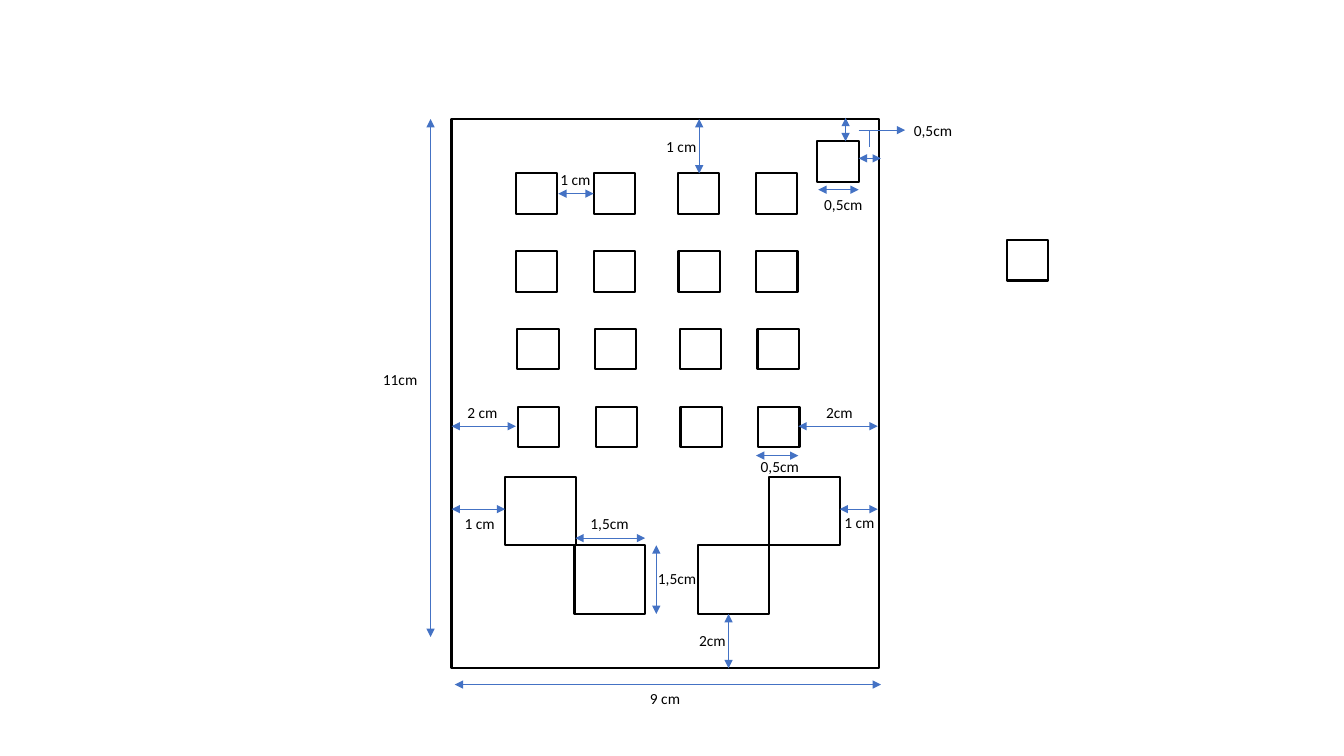
"""Build a dimensioned plan of a 9 by 11 cm panel with square cut-outs."""
import pptx
import pptx.dml.color
import pptx.enum.shapes
import pptx.enum.text
import pptx.oxml
import pptx.oxml.ns
import pptx.util

Cm, Pt = pptx.util.Cm, pptx.util.Pt
COLORS = {"paper": "FFFFFF", "outline": "000000", "dimension": "4472C4", "text": "000000"}
FONT = {"name": "Calibri", "size": Pt(11)}
FRAME = {"word_wrap": True, "auto_size": pptx.enum.text.MSO_AUTO_SIZE.SHAPE_TO_FIT_TEXT}


def rgb(name):
    return pptx.dml.color.RGBColor.from_string(COLORS[name])


def apply(target, values):
    for name, value in values.items():
        setattr(target, name, value)


class Drawing:
    def __init__(self, slide):
        self.shapes = slide.shapes

    def line_style(self, line, color, width):
        line.color.rgb = rgb(color)
        line.width = Pt(width)

    def box(self, x, y, w, h):
        sp = self.shapes.add_shape(
            pptx.enum.shapes.MSO_SHAPE.RECTANGLE, Cm(x), Cm(y), Cm(w), Cm(h))
        sp.shadow.inherit = False
        sp.fill.solid()
        sp.fill.fore_color.rgb = rgb("paper")
        self.line_style(sp.line, "outline", 1.5)

    def arrow(self, x1, y1, x2, y2, ends=("headEnd", "tailEnd")):
        cxn = self.shapes.add_connector(
            pptx.enum.shapes.MSO_CONNECTOR.STRAIGHT, Cm(x1), Cm(y1), Cm(x2), Cm(y2))
        self.line_style(cxn.line, "dimension", 0.5)
        ln = cxn.line._get_or_add_ln()
        for end in ends:
            tip = pptx.oxml.parse_xml(f'<a:{end} {pptx.oxml.ns.nsdecls("a")} type="triangle"/>')
            ln.append(tip)
        cxn._element.spPr.append(
            pptx.oxml.parse_xml(f'<a:effectLst {pptx.oxml.ns.nsdecls("a")}/>'))

    def label(self, text, x, y):
        tf = self.shapes.add_textbox(Cm(x), Cm(y), Cm(1.52), Cm(0.74)).text_frame
        apply(tf, FRAME)
        r = tf.paragraphs[0].add_run()
        r.text = text
        apply(r.font, FONT)
        r.font.color.rgb = rgb("text")


prs = pptx.Presentation()
prs.slide_width, prs.slide_height = Cm(33.87), Cm(19.05)
drawing = Drawing(prs.slides.add_slide(prs.slide_layouts[6]))

LEFT, TOP, WIDTH, HEIGHT = 11.38, 3, 10.77, 13.84
SMALL = (1.04, 1.02)
LARGE = (1.78, 1.73)
COLUMNS = (13, 14.96, 17.09, 19.05)
ROW_SHIFTS = (0, 0.01, 0.04, 0.06)
FIRST_ROW, ROW_STEP = 4.37, 1.96
UPPER, LOWER = 12.01, 13.74

drawing.box(LEFT, TOP, WIDTH, HEIGHT)
for row, shift in enumerate(ROW_SHIFTS):
    for column in COLUMNS:
        drawing.box(column + shift, FIRST_ROW + row * ROW_STEP, *SMALL)
for x, y in ((20.6, 3.56), (25.37, 6.05)):
    drawing.box(x, y, *SMALL)
for x, y in ((12.73, UPPER), (14.48, LOWER), (17.6, LOWER), (19.38, UPPER)):
    drawing.box(x, y, *LARGE)

horizontal = (
    (19.05, 20.12, 11.48), (20.62, 21.64, 4.78), (14.5, 16.26, 13.56),
    (11.46, 22.2, 17.25), (14.07, 14.96, 4.88), (LEFT, 13, 10.74),
    (20.12, 22.12, 10.74), (21.16, 22.12, 12.83), (LEFT, 12.73, 12.83),
    (21.64, 22.2, 3.99),
)
vertical = (
    (16.54, LOWER, 15.47), (10.85, TOP, 16.05), (18.36, 15.47, 16.84),
    (17.62, TOP, FIRST_ROW), (21.31, 2.97, 3.56),
)
for x1, x2, y in horizontal:
    drawing.arrow(x1, y, x2, y)
for x, y1, y2 in vertical:
    drawing.arrow(x, y1, x, y2)
drawing.arrow(21.64, 3.28, 22.81, 3.28, ends=("tailEnd",))
drawing.arrow(21.92, 3.28, 21.92, 3.71, ends=())

labels = {
    "1,5cm": ((14.63, 12.83), (16.33, 14.22)),
    "0,5cm": ((18.92, 11.4), (20.52, 4.8), (22.78, 2.92)),
    "11cm": ((9.4, 9.19),),
    "1 cm": ((16.54, 3.33), (13.87, 4.17), (11.46, 12.83), (21.03, 12.8)),
    "2 cm": ((11.53, 10.03),),
    "2cm": ((20.57, 10.03), (17.37, 15.77)),
    "9 cm": ((16.13, 17.25),),
}
for text, places in labels.items():
    for x, y in places:
        drawing.label(text, x, y)

prs.save("out.pptx")
